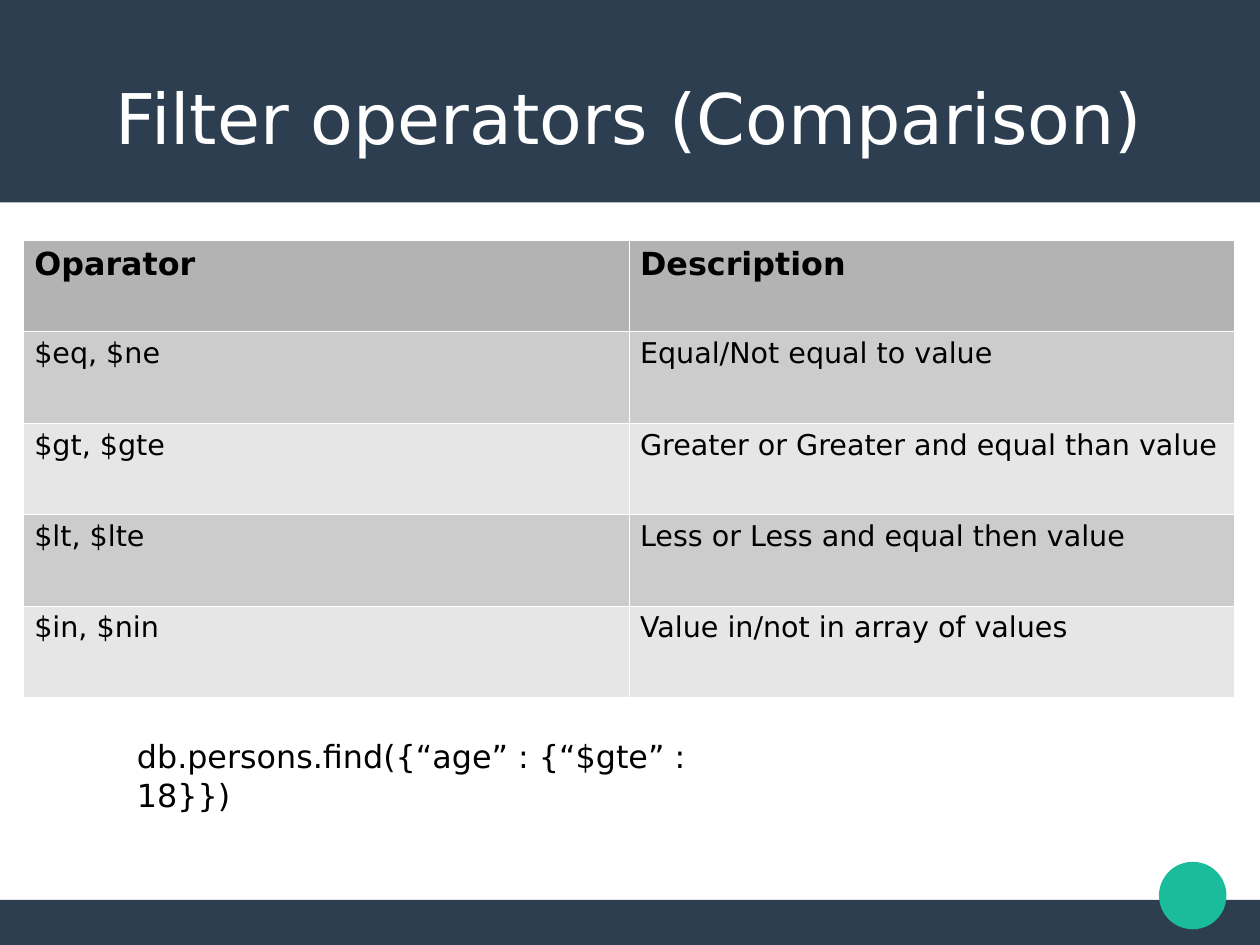
"""Builds the slide on comparison filter operators."""
from lxml import etree
from pptx import Presentation
from pptx import util as u
from pptx.dml.color import RGBColor
from pptx.enum import shapes, text
from pptx.oxml.ns import qn

TITLE = "Filter operators (Comparison)"
OPERATORS = [
    ("Oparator", "Description"),
    ("$eq, $ne", "Equal/Not equal to value"),
    ("$gt, $gte", "Greater or Greater and equal than value"),
    ("$lt, $lte", "Less or Less and equal then value"),
    ("$in, $nin", "Value in/not in array of values"),
]
QUERY = "db.persons.find({“age” : {“$gte” : 18}})"

FONT = "DejaVu Sans"
COLORS = {
    "navy": "2C3E50", "teal": "1ABC9C", "white": "FFFFFF", "black": "000000",
    "header": "B3B3B3", "odd": "CCCCCC", "even": "E6E6E6",
}
CM = 1 / 2.54
WIDTH, HEIGHT = 28 * CM, 21 * CM
COLUMN, ROW = 5.3, 0.8
BANNER, FOOTER, DOT = 4.5 * CM, CM, 1.5 * CM
BORDER = u.Pt(0.06)

RECT, OVAL = shapes.MSO_SHAPE.RECTANGLE, shapes.MSO_SHAPE.OVAL
DECOR = [
    (RECT, "navy", (0, HEIGHT - FOOTER, WIDTH, FOOTER)),
    (RECT, "navy", (0, 0, WIDTH, BANNER)),
    (OVAL, "teal", (10.14, 7.54, DOT, DOT)),
]


def inches(box):
    return [u.Inches(length) for length in box]


def color(name):
    return RGBColor.from_string(COLORS[name])


def paint(fill, name):
    fill.solid()
    fill.fore_color.rgb = color(name)


def write(frame, words, size, ink="black", bold=False):
    run = frame.paragraphs[0].add_run()
    run.text = words
    run.font.name, run.font.size, run.font.bold = FONT, u.Pt(size), bold
    run.font.color.rgb = color(ink)


def outline(cell):
    properties = cell._tc.get_or_add_tcPr()
    for place, side in enumerate(("lnL", "lnR", "lnT", "lnB")):
        line = etree.Element(qn(f"a:{side}"), w=str(int(BORDER)))
        solid = etree.SubElement(line, qn("a:solidFill"))
        etree.SubElement(solid, qn("a:srgbClr"), val=COLORS["white"])
        properties.insert(place, line)


deck = Presentation()
deck.slide_width, deck.slide_height = u.Cm(28), u.Cm(21)
slide = deck.slides.add_slide(deck.slide_layouts[5])

for preset, tint, box in DECOR:
    decor = slide.shapes.add_shape(preset, *inches(box))
    decor.shadow.inherit = False
    paint(decor.fill, tint)
    decor.line.fill.background()

heading = slide.shapes.title
slide.shapes._spTree.append(heading._element)
heading.left, heading.top, heading.width, heading.height = inches((0.55, 0.33, 9.92, 1.38))
frame = heading.text_frame
frame.margin_left = frame.margin_right = frame.margin_top = frame.margin_bottom = 0
frame.vertical_anchor = text.MSO_ANCHOR.MIDDLE
frame.paragraphs[0].alignment = text.PP_ALIGN.CENTER
write(frame, TITLE, 44, "white")

rows, columns = len(OPERATORS), len(OPERATORS[0])
operators = slide.shapes.add_table(
    rows, columns, *inches((0.2, 2.1, columns * COLUMN, rows * ROW))).table
for r, entry in enumerate(OPERATORS):
    header = r == 0
    shade = "header" if header else "odd" if r % 2 else "even"
    for c, words in enumerate(entry):
        cell = operators.cell(r, c)
        outline(cell)
        paint(cell.fill, shade)
        write(cell.text_frame, words, 20 if header else 18, bold=header)

query = slide.shapes.add_textbox(*inches((1.1, 6.4, 5.9, 0.42))).text_frame
query.word_wrap = True
write(query, QUERY, 20)

deck.save("out.pptx")
